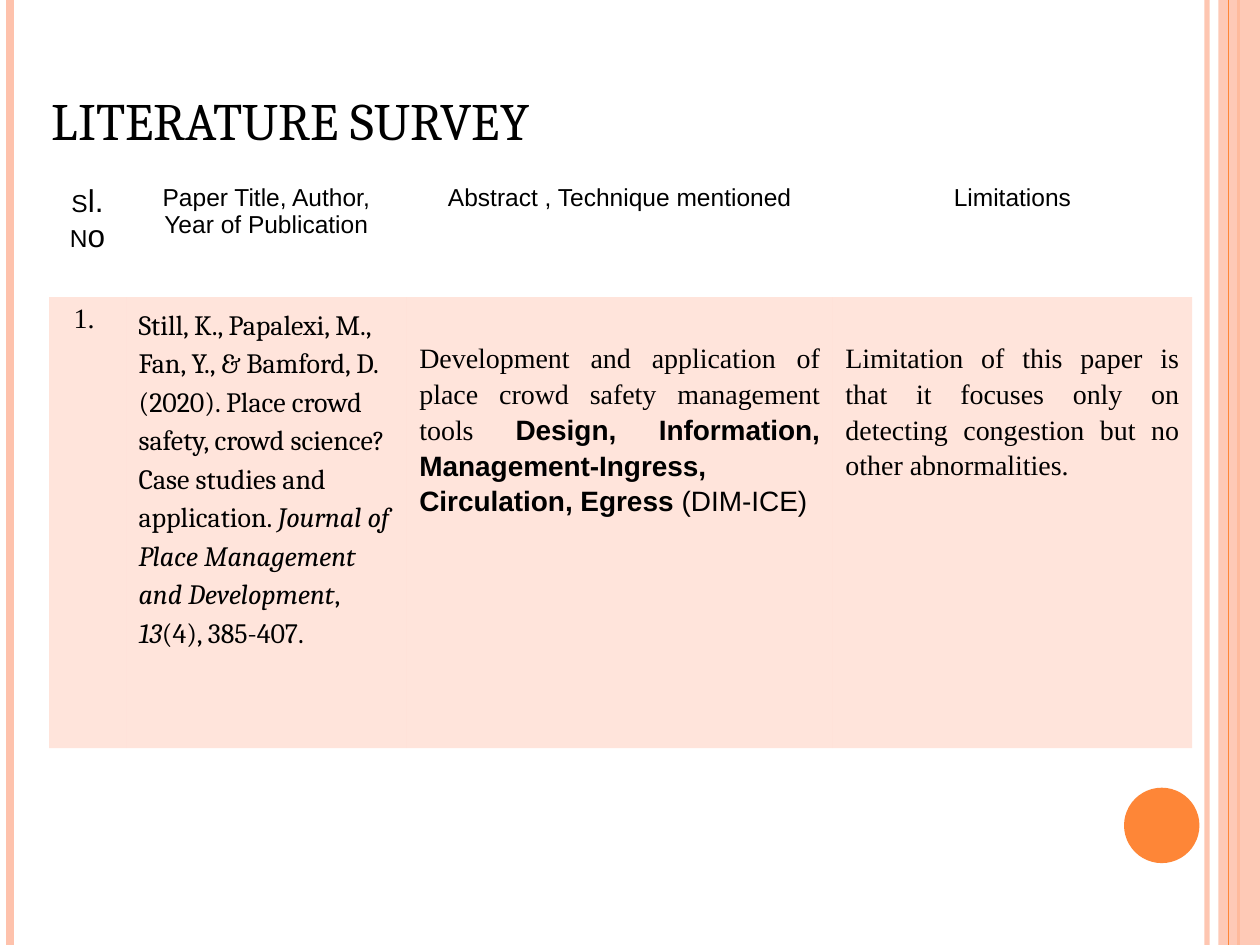
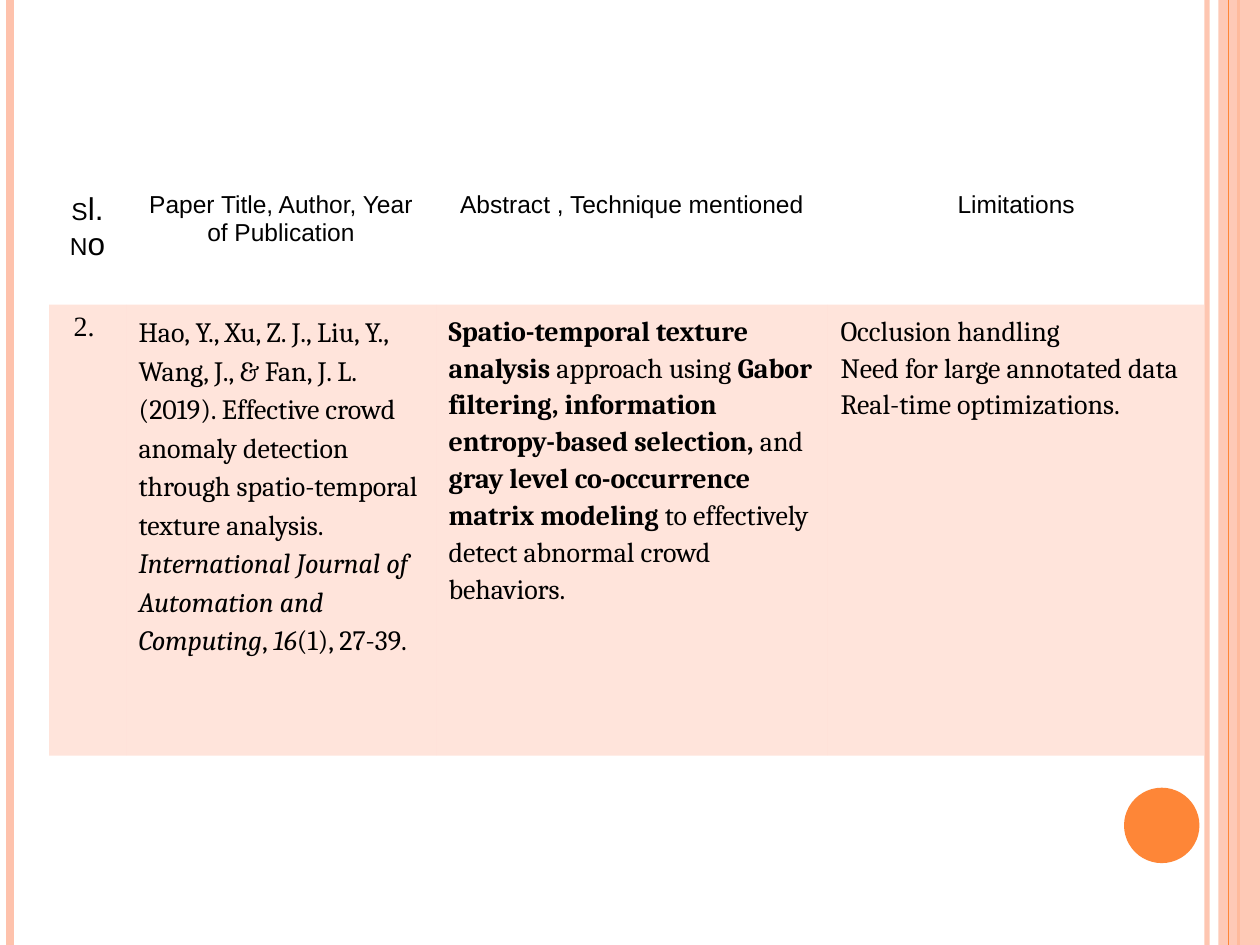
from dataclasses import dataclass
from lxml import etree
from pptx import Presentation
from pptx.dml.color import RGBColor
from pptx.enum.shapes import MSO_CONNECTOR, MSO_SHAPE
from pptx.enum.text import MSO_ANCHOR, MSO_AUTO_SIZE, PP_ALIGN
from pptx.oxml.ns import qn
from pptx.util import Cm, Pt

LEFT, CENTER, JUSTIFY = PP_ALIGN.LEFT, PP_ALIGN.CENTER, PP_ALIGN.JUSTIFY
STRAIGHT = MSO_CONNECTOR.STRAIGHT
RECTANGLE, OVAL = MSO_SHAPE.RECTANGLE, MSO_SHAPE.OVAL
BOTTOM, NO_AUTOFIT = MSO_ANCHOR.BOTTOM, MSO_AUTO_SIZE.NONE
TITLE_ONLY, BLANK = 5, 6
WIDTH, HEIGHT = 25.4, 19.05
COLORS = {"text": "000000", "peach": "FEC2AC", "orange": "FE8637", "row": "FFD8CC"}
SANS, SERIF, TIMES = "Arial", "Cambria", "Times New Roman"
NO_TABLE_STYLE = "{2D5ABB26-0587-4C30-8999-92F81FD0307C}"
ROW_HEIGHTS = (2.41, 9.09)


@dataclass
class Run:
    text: str
    font: str = SERIF
    size: int = 16
    bold: bool = False
    italic: bool = False


@dataclass
class Line:
    runs: list
    align: int = LEFT
    spacing: float = 1.15


@dataclass
class Cell:
    lines: list
    top: float = 0.13


def set_alpha(owner, percent):
    """Make the solid colour inside an XML element partly transparent."""
    color = next(owner.iter(qn("a:srgbClr")))
    etree.SubElement(color, qn("a:alpha")).set("val", str(percent * 1000))


class SurveyDeck:
    def __init__(self):
        self.presentation = Presentation()
        self.presentation.slide_width = Cm(WIDTH)
        self.presentation.slide_height = Cm(HEIGHT)
        self.slide = None

    def color(self, name):
        return RGBColor.from_string(COLORS[name])

    def add_slide(self, title=None):
        layout = self.presentation.slide_layouts[TITLE_ONLY if title else BLANK]
        self.slide = self.presentation.slides.add_slide(layout)
        self.add_frame()
        if title:
            self.add_title(title)

    def add_frame(self):
        # Side bands and the corner disc
        self.add_rule(24.33, "peach", 3, 93)
        self.add_rule(0.2, "peach", 4.5)
        self.add_rule(24.97, "orange", 1.5)
        self.add_shape(RECTANGLE, 24.56, 0, 0.84, HEIGHT, "peach", 87)
        self.add_rule(24.77, "orange", 0.75)
        self.add_shape(OVAL, 22.66, 15.88, 1.52, 1.52, "orange")

    def add_rule(self, x, color, weight, alpha=100):
        rule = self.slide.shapes.add_connector(STRAIGHT, Cm(x), 0, Cm(x), Cm(HEIGHT))
        rule.line.color.rgb = self.color(color)
        rule.line.width = Pt(weight)
        properties = rule._element.spPr
        if alpha < 100:
            set_alpha(properties, alpha)
        etree.SubElement(properties, qn("a:effectLst"))

    def add_shape(self, kind, left, top, width, height, color, alpha=100):
        shape = self.slide.shapes.add_shape(kind, Cm(left), Cm(top), Cm(width), Cm(height))
        shape.shadow.inherit = False
        shape.line.fill.background()
        shape.fill.solid()
        shape.fill.fore_color.rgb = self.color(color)
        if alpha < 100:
            set_alpha(shape._element.spPr, alpha)

    def add_title(self, text):
        title = self.slide.shapes.title
        title.left, title.top, title.width, title.height = Cm(0.79), 0, Cm(20.75), Cm(3.18)
        frame = title.text_frame
        frame.auto_size = NO_AUTOFIT
        frame.vertical_anchor = BOTTOM
        self.add_text(frame, [Line([Run(text, size=30)], spacing=1.0)])

    def add_text(self, frame, lines):
        for index, line in enumerate(lines):
            paragraph = frame.add_paragraph() if index else frame.paragraphs[0]
            paragraph.alignment = line.align
            paragraph.line_spacing = line.spacing
            for item in line.runs:
                run = paragraph.add_run()
                run.text = item.text
                run.font.name, run.font.size = item.font, Pt(item.size)
                run.font.bold, run.font.italic = item.bold, item.italic
                run.font.color.rgb = self.color("text")

    def add_survey_table(self, top, column_widths, entry):
        rows = [header_cells(), entry]
        table = self.slide.shapes.add_table(
            len(rows), len(column_widths), Cm(0.99), Cm(top),
            Cm(sum(column_widths)), Cm(sum(ROW_HEIGHTS))).table
        table.first_row = table.horz_banding = False
        table._tbl.tblPr.find(qn("a:tableStyleId")).text = NO_TABLE_STYLE
        for column, width in zip(table.columns, column_widths):
            column.width = Cm(width)
        for row_index, (height, contents) in enumerate(zip(ROW_HEIGHTS, rows)):
            table.rows[row_index].height = Cm(height)
            for column_index, content in enumerate(contents):
                cell = table.cell(row_index, column_index)
                cell.margin_top = Cm(content.top)
                self.add_text(cell.text_frame, content.lines)
                if row_index == 0:
                    cell.fill.background()
                else:
                    cell.fill.solid()
                    cell.fill.fore_color.rgb = self.color("row")
                    set_alpha(cell._tc.tcPr, 69)


def header_cells():
    number = [Line([Run(small, SANS, 14), Run(large, SANS, 18)], CENTER, 1.0)
              for small, large in (("S", "l."), ("N", "o"))]
    headings = ("Paper Title, Author, Year of Publication",
                "Abstract , Technique mentioned", "Limitations")
    return [Cell(number)] + [Cell([Line([Run(heading, SANS, 14)], CENTER, 1.0)])
                             for heading in headings]


def number_cell(text):
    return Cell([Line([Run(text, TIMES)], CENTER, 1.0)])


def citation_cell(work, journal, volume, pages):
    return Cell([Line([Run(work), Run(journal, italic=True), Run(", "),
                       Run(volume, italic=True), Run(pages)], spacing=1.2)])


def main():
    deck = SurveyDeck()

    # Slide 1: first paper
    deck.add_slide("LITERATURE SURVEY")
    deck.add_survey_table(3.58, (1.55, 5.66, 8.59, 7.24), [
        number_cell("1. "),
        citation_cell("Still, K., Papalexi, M., Fan, Y., & Bamford, D. (2020). Place crowd "
                      "safety, crowd science? Case studies and application. ",
                      "Journal of Place Management and Development", "13", "(4), 385-407."),
        Cell([Line([
            Run("Development and application of place crowd safety management tools ", TIMES),
            Run("Design, Information, Management-Ingress, Circulation, Egress ", SANS, bold=True),
            Run("(DIM-ICE) ", SANS)], JUSTIFY)], top=0.84),
        Cell([Line([Run("Limitation of this paper is that it focuses only on detecting "
                        "congestion but no other abnormalities.", TIMES)], JUSTIFY)], top=0.84),
    ])

    # Slide 2: second paper
    deck.add_slide()
    deck.add_survey_table(3.73, (1.55, 6.25, 7.9, 7.59), [
        number_cell("2. "),
        citation_cell("Hao, Y., Xu, Z. J., Liu, Y., Wang, J., & Fan, J. L. (2019). Effective "
                      "crowd anomaly detection through spatio-temporal texture analysis. ",
                      "International Journal of Automation and Computing", "16", "(1), 27-39."),
        Cell([Line([
            Run("Spatio-temporal texture analysis", bold=True),
            Run(" approach using "),
            Run("Gabor filtering, information entropy-based selection, ", bold=True),
            Run("and "),
            Run("gray level co-occurrence matrix modeling", bold=True),
            Run(" to effectively detect abnormal crowd behaviors.")])]),
        Cell([Line([Run(text)]) for text in (
            "Occlusion handling", "Need for large annotated data", "Real-time optimizations.")]),
    ])

    deck.presentation.save("out.pptx")


if __name__ == "__main__":
    main()
